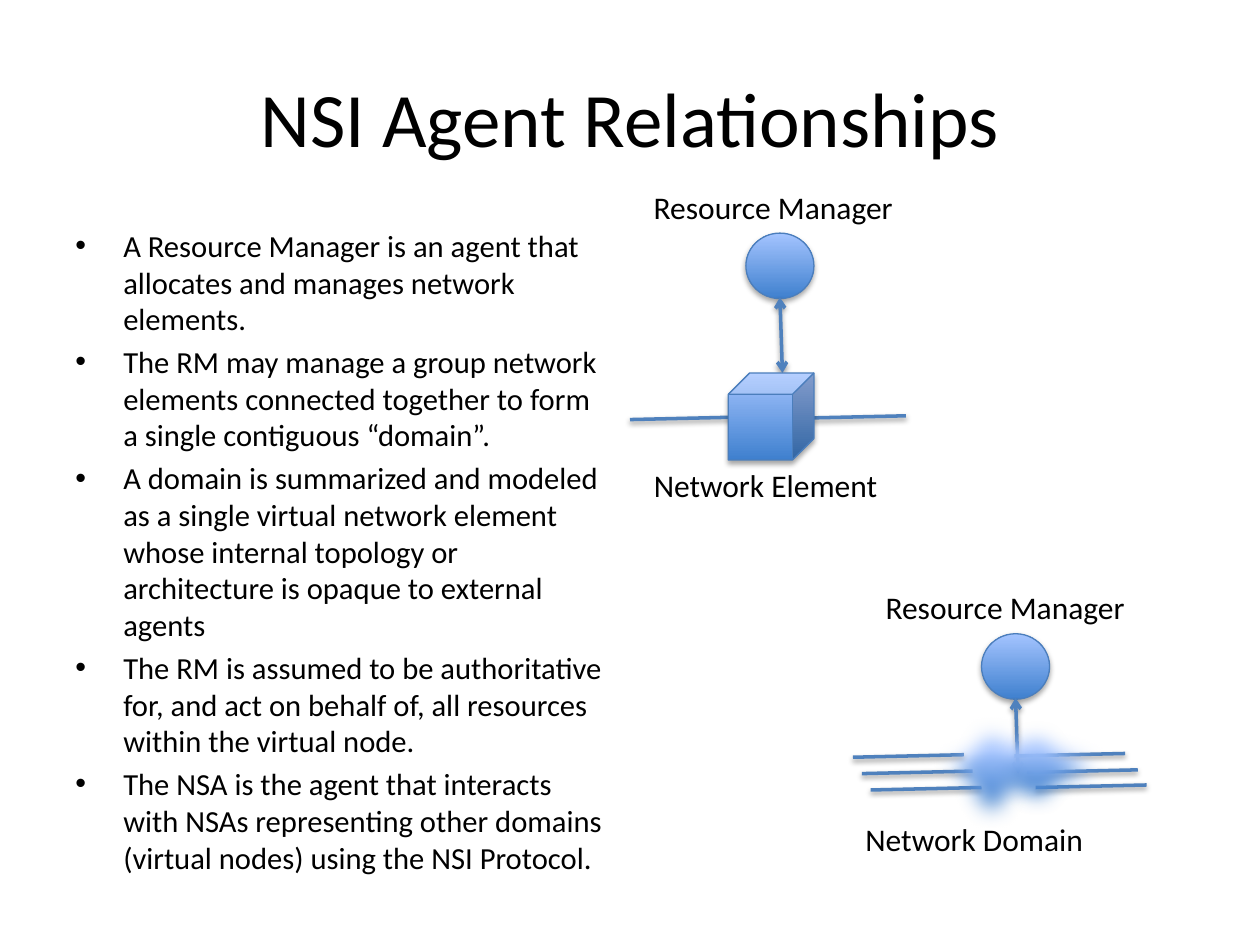
from lxml.etree import SubElement
from pptx import Presentation
from pptx.dml.color import RGBColor
from pptx.enum.shapes import MSO_CONNECTOR, MSO_SHAPE
from pptx.enum.text import MSO_ANCHOR, PP_ALIGN
from pptx.oxml.ns import qn
from pptx.util import Inches, Pt

TITLE = "NSI Agent Relationships"
BULLETS = [
    "A Resource Manager is an agent that allocates and manages network elements.",
    "The RM may manage a group network elements connected together to form "
    "a single contiguous “domain”.",
    "A domain is summarized and modeled as a single virtual network element "
    "whose internal topology or architecture is opaque to external agents",
    "The RM is assumed to be authoritative for, and act on behalf of, all "
    "resources within the virtual node.",
    "The NSA is the agent that interacts with NSAs representing other domains "
    "(virtual nodes) using the NSI Protocol.",
]
# Each diagram: manager circle's corner, label boxes, left ends of its links
ELEMENT = {
    "manager": (5.92, 1.85),
    "labels": [("Resource Manager", (5.09, 1.44, 2.3, 0.4)),
               ("Network Element", (5.09, 3.65, 2.21, 0.4))],
    "links": [(6.31, 3.32), (5, 3.33)],
}
DOMAIN = {
    "manager": (7.79, 5.03),
    "labels": [("Resource Manager", (6.93, 4.62, 2.31, 0.4)),
               ("Network Domain", (6.77, 6.46, 2.01, 0.4))],
    "links": [(8.05, 6), (8.15, 6.13), (8.22, 6.25),
              (6.77, 6.01), (6.84, 6.14), (6.91, 6.27)],
}
CUBE = (5.78, 2.96, 0.68, 0.69)
CLOUD = [(7.26, 5.75, 1.67, 0.67), (7.87, 5.63, 0.72, 0.93), (7.51, 5.59, 0.72, 1.08)]
MANAGER_SIZE = (0.54, 0.52)
LINK = (0.88, -0.02)
ARROW = (0.02, 0.6)
SOFT_EDGE = 12.5

COLORS = {"text": "000000", "dark": "3F80CE", "light": "A4C4FF",
          "outline": "4B7EBC", "link": "4F81BD", "shadow": "000000"}


def rgb(name):
    return RGBColor.from_string(COLORS[name])


def add_text(shapes, box, paragraphs, size=18, align=PP_ALIGN.LEFT,
             anchor=MSO_ANCHOR.TOP, wrap=True, bullet=False):
    tf = shapes.add_textbox(*map(Inches, box)).text_frame
    tf.word_wrap = wrap
    tf.vertical_anchor = anchor
    for i, text in enumerate(paragraphs):
        p = tf.paragraphs[0] if i == 0 else tf.add_paragraph()
        if bullet:
            pPr = p._p.get_or_add_pPr()
            pPr.set("marL", str(Inches(0.38)))
            pPr.set("indent", str(-Inches(0.38)))
            SubElement(pPr, qn("a:buFont"), typeface="Arial")
            SubElement(pPr, qn("a:buChar"), char="•")
            if i:
                p.space_before = Pt(size * 0.2)
        p.alignment = align
        r = p.add_run()
        r.text = text
        r.font.size, r.font.name = Pt(size), "Calibri"
        r.font.color.rgb = rgb("text")


def add_shadow(sp, distance, alpha):
    effects = SubElement(sp._element.spPr, qn("a:effectLst"))
    shadow = SubElement(effects, qn("a:outerShdw"), blurRad=str(Pt(3.1)),
                        dist=str(Pt(distance)), dir="5400000", rotWithShape="0")
    color = SubElement(shadow, qn("a:srgbClr"), val=COLORS["shadow"])
    SubElement(color, qn("a:alpha"), val=str(alpha * 1000))


def add_solid(shapes, kind, box, stops=(0, 1), soft=False):
    """Add a shape shaded from dark at the bottom to light at the top."""
    sp = shapes.add_shape(kind, *map(Inches, box))
    sp.fill.gradient()
    sp.fill.gradient_angle = 90
    for stop, position, name in zip(sp.fill.gradient_stops, stops, ("dark", "light")):
        stop.position = position
        stop.color.rgb = rgb(name)
    if soft:
        sp.line.fill.background()
        effects = SubElement(sp._element.spPr, qn("a:effectLst"))
        SubElement(effects, qn("a:softEdge"), rad=str(Pt(SOFT_EDGE)))
    else:
        sp.line.color.rgb = rgb("outline")
        sp.line.width = Pt(0.75)
        add_shadow(sp, 1.8, 35)


def add_line(shapes, start, step, arrows=False):
    (x, y), (dx, dy) = start, step
    line = shapes.add_connector(MSO_CONNECTOR.STRAIGHT,
                                *map(Inches, (x, y, x + dx, y + dy)))
    line.line.color.rgb = rgb("link")
    line.line.width = Pt(2)
    if arrows:
        for end in ("a:headEnd", "a:tailEnd"):
            SubElement(line.line._get_or_add_ln(), qn(end), type="arrow")
    add_shadow(line, 1.6, 38)


def add_diagram(slide, diagram):
    """Add a manager with its arrow, labels and links; return the group's shapes."""
    shapes = slide.shapes.add_group_shape().shapes
    x, y = diagram["manager"]
    width, height = MANAGER_SIZE
    add_solid(shapes, MSO_SHAPE.OVAL, (x, y, width, height))
    add_line(shapes, (x + width / 2, y + height - 0.01), ARROW, arrows=True)
    for text, box in diagram["labels"]:
        add_text(shapes, box, [text], wrap=False)
    for start in diagram["links"]:
        add_line(shapes, start, LINK)
    return shapes


def main():
    prs = Presentation()
    prs.slide_width, prs.slide_height = Inches(10), Inches(7.5)
    s = prs.slides.add_slide(prs.slide_layouts[6])
    add_text(s.shapes, (0.5, 0.3, 9, 1.25), [TITLE], size=44,
             align=PP_ALIGN.CENTER, anchor=MSO_ANCHOR.MIDDLE)
    add_text(s.shapes, (0.5, 1.75, 4.42, 4.95), BULLETS, size=17.5, bullet=True)
    add_solid(add_diagram(s, ELEMENT), MSO_SHAPE.CUBE, CUBE)
    cloud = add_diagram(s, DOMAIN).add_group_shape().shapes
    for box in CLOUD:
        add_solid(cloud, MSO_SHAPE.OVAL, box, stops=(0.27, 0.66), soft=True)
    prs.save("out.pptx")


if __name__ == "__main__":
    main()
